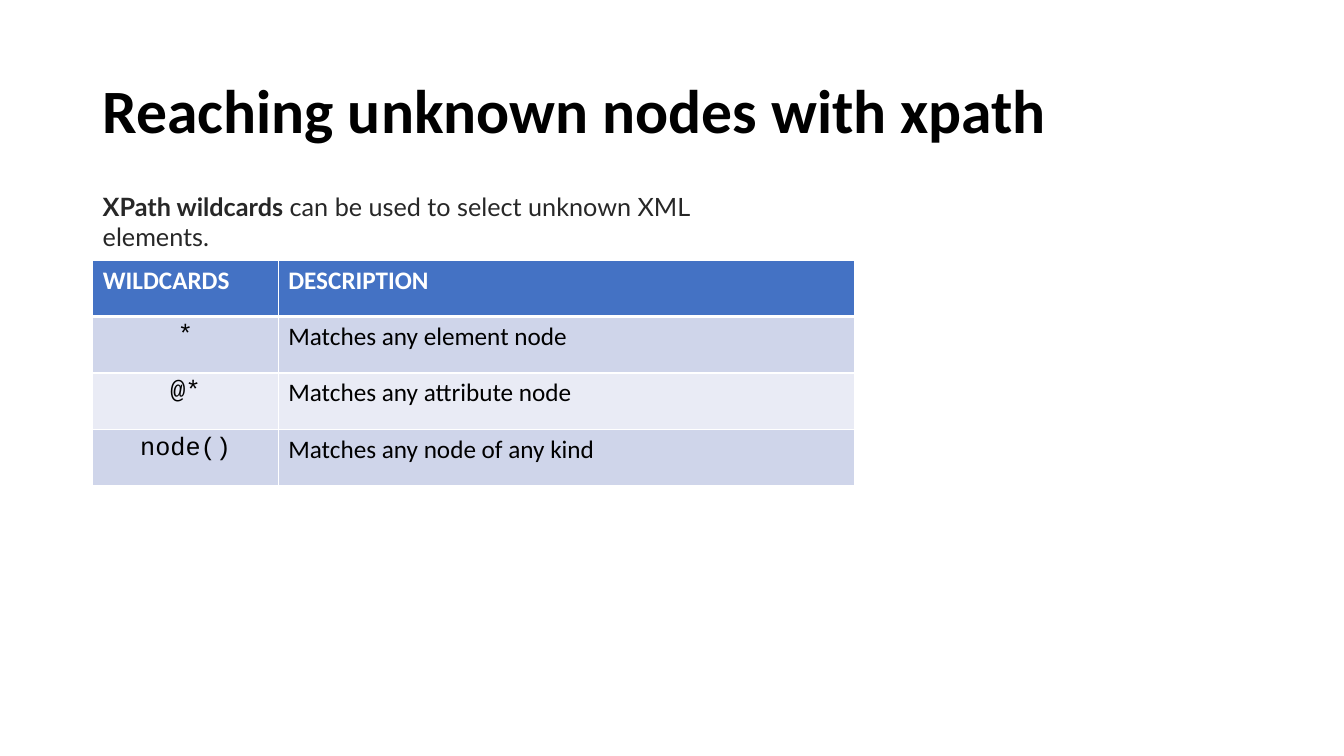
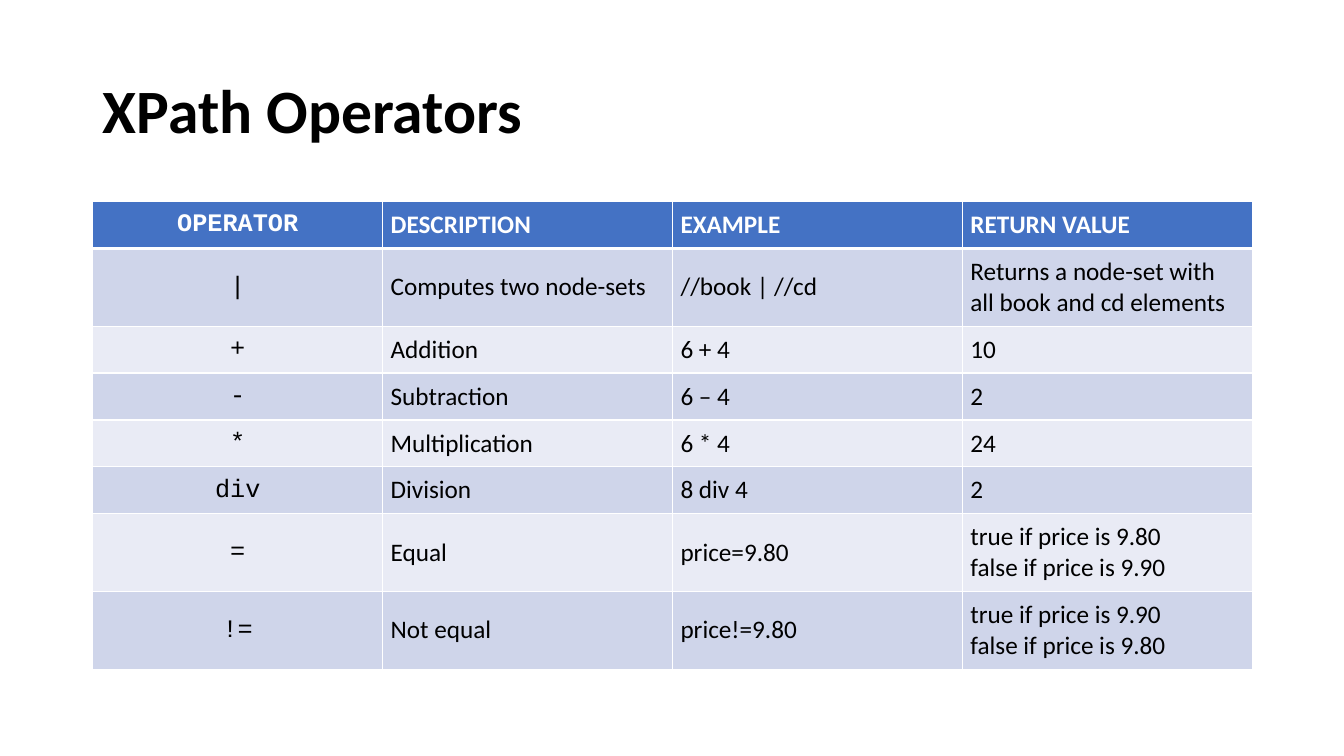
from dataclasses import dataclass
from lxml.etree import SubElement as Sub
from pptx import Presentation
from pptx.dml.color import RGBColor as RGB
from pptx.enum.text import MSO_ANCHOR as Anchor, PP_ALIGN as Align
from pptx.oxml.ns import qn
from pptx.util import Inches, Pt


@dataclass(frozen=True)
class Theme:
    head: str = "4472C4"
    bands: tuple = ("CFD5EA", "E9EBF5")
    white: str = "FFFFFF"
    black: str = "000000"
    gray: str = "272727"
    sans: str = "Calibri"
    mono: str = "Courier New"
    note: str = "Lato"
    big: int = 44
    body: int = 18
    thin: int = 1
    thick: int = 3


theme = Theme()
LEFT, WIDE = 0.92, 11.5


def style(para, face, size, color, bold=None):
    font = para.font
    font.name, font.size, font.bold = face, Pt(size), bold
    font.color.rgb = RGB.from_string(color)


def place(shape, box):
    shape.left, shape.top, shape.width, shape.height = map(Inches, box)


def add_slide(deck, title):
    slide = deck.slides.add_slide(deck.slide_layouts[5])
    shape = slide.shapes.title
    place(shape, (LEFT, 0.4, WIDE, 1.45))
    frame = shape.text_frame
    frame.word_wrap = True
    frame.vertical_anchor = Anchor.MIDDLE
    para = frame.paragraphs[0]
    para.text = title
    para.alignment = Align.LEFT
    para.line_spacing = 0.9
    style(para, theme.sans, theme.big, theme.black, True)
    return slide


def add_note(slide, box, lead, rest):
    frame = slide.shapes.add_textbox(*map(Inches, box)).text_frame
    frame.word_wrap = True
    para = frame.paragraphs[0]
    style(para, theme.note, theme.body, theme.gray)
    for text, bold in ((lead, True), (rest, False)):
        run = para.add_run()
        run.text, run.font.bold = text, bold


def add_edges(cell, row):
    props = cell._tc.get_or_add_tcPr()
    heavy = {0: "lnB", 1: "lnT"}.get(row)
    for side in ("lnL", "lnR", "lnT", "lnB"):
        width = theme.thick if side == heavy else theme.thin
        line = Sub(props, qn(f"a:{side}"), w=str(Pt(width)))
        Sub(Sub(line, qn("a:solidFill")), qn("a:srgbClr"), val=theme.white)


def fill_cell(cell, text, row, col, centre):
    add_edges(cell, row)
    color = theme.bands[(row - 1) % 2] if row else theme.head
    cell.fill.solid()
    cell.fill.fore_color.rgb = RGB.from_string(color)
    para = cell.text_frame.paragraphs[0]
    para.text = text
    code = col == 0 and centre
    para.alignment = Align.CENTER if code else Align.LEFT
    style(para, theme.mono if code else theme.sans, theme.body,
          theme.black if row else theme.white, row == 0)


def add_grid(slide, box, cols, rows, mono_head=False, inset=None):
    shape = slide.shapes.add_table(len(rows), len(cols), *map(Inches, box))
    table = shape.table
    table.first_row = table.horz_banding = False
    for col, width in zip(table.columns, cols):
        col.width = Inches(width)
    for r, texts in enumerate(rows):
        table.rows[r].height = Inches(box[3] / len(rows))
        for c, text in enumerate(texts):
            cell = table.cell(r, c)
            if inset:
                cell.vertical_anchor = Anchor.MIDDLE
                cell.margin_left = cell.margin_right = Inches(inset)
                cell.margin_top = cell.margin_bottom = Inches(inset)
            fill_cell(cell, text, r, c, r > 0 or mono_head)


def wildcard_slide(deck):
    slide = add_slide(deck, "Reaching unknown nodes with xpath")
    cols = (1.84, 5.72)
    add_grid(slide, (LEFT, 2.58, sum(cols), 2.24), cols, (
        ("WILDCARDS", "DESCRIPTION"),
        ("*", "Matches any element node"),
        ("@*", "Matches any attribute node"),
        ("node()", "Matches any node of any kind"),
    ))
    add_note(slide, (LEFT, 1.85, 6.68, 0.4), "XPath wildcards",
             "\u00a0can be used to select unknown XML elements.")


def operator_slide(deck):
    slide = add_slide(deck, "XPath Operators")
    rows = (
        ("OPERATOR", "DESCRIPTION", "EXAMPLE", "RETURN VALUE"),
        ("|", "Computes two node-sets", "//book | //cd",
         "Returns a node-set with all book and cd elements"),
        ("+", "Addition", "6 + 4", "10"),
        ("-", "Subtraction", "6 – 4", "2"),
        ("*", "Multiplication", "6 * 4", "24"),
        ("div", "Division", "8 div 4", "2"),
        ("=", "Equal", "price=9.80",
         "true if price is 9.80\nfalse if price is 9.90"),
        ("!=", "Not equal", "price!=9.80",
         "true if price is 9.90\nfalse if price is 9.80"),
    )
    add_grid(slide, (LEFT, 2, WIDE, 0.41 * len(rows)), [WIDE / 4] * 4, rows,
             mono_head=True, inset=0.08)


deck = Presentation()
deck.slide_width, deck.slide_height = Inches(13.33), Inches(7.5)
wildcard_slide(deck)
operator_slide(deck)
deck.save("out.pptx")
